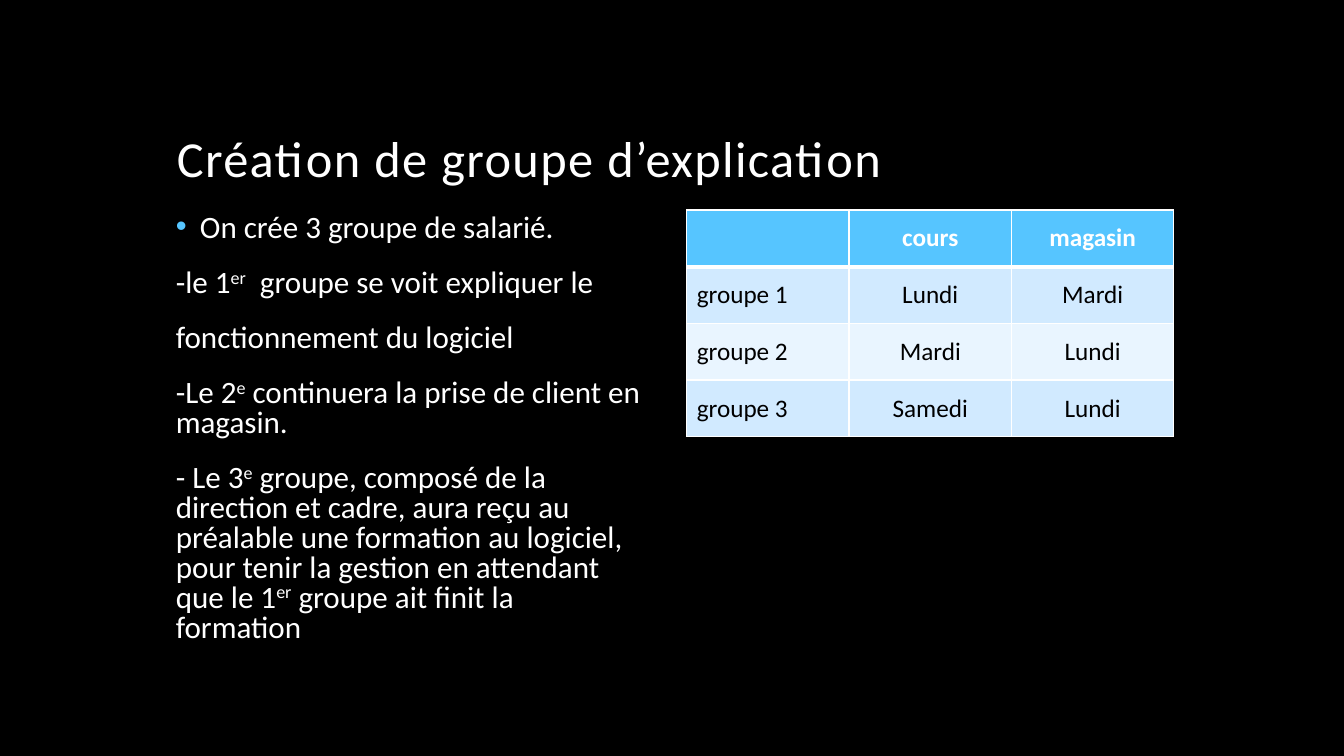
from lxml import etree
from pptx import Presentation
from pptx import util as u
from pptx.dml.color import RGBColor
from pptx.enum import text
from pptx.oxml import ns

PX = 9525
FONT = "Calibri"
HUES = {"back": "000000", "white": "FFFFFF", "black": "000000",
        "head": "56C5FF", "odd": "D1EAFF", "even": "E9F5FF"}
LINES = [
    "On crée 3 groupe de salarié.",
    "-le 1^er^  groupe se voit expliquer le",
    "fonctionnement du logiciel",
    "-Le 2^e^ continuera la prise de client en magasin.",
    "- Le 3^e^ groupe, composé de la direction et cadre, aura reçu au "
    "préalable une formation au logiciel, pour tenir la gestion en "
    "attendant que le 1^er^ groupe ait finit la formation",
]
ROWS = [
    ("", "cours", "magasin"),
    ("groupe 1", "Lundi", "Mardi"),
    ("groupe 2", "Mardi", "Lundi"),
    ("groupe 3", "Samedi", "Lundi"),
]


def rgb(hue):
    return RGBColor.from_string(HUES[hue])


def place(*box):
    return [u.Emu(n * PX) for n in box]


def style(item, form):
    for key, val in form.items():
        setattr(item, key, val)


def paint(item, hue):
    item.fill.solid()
    item.fill.fore_color.rgb = rgb(hue)


def add_run(para, words, size, hue, **form):
    run = para.add_run()
    run.text = words
    style(run.font, {"name": FONT, "size": u.Pt(size), **form})
    run.font.color.rgb = rgb(hue)
    return run._r.get_or_add_rPr()


def add_box(slide, box, anchor):
    frame = slide.shapes.add_textbox(*place(*box)).text_frame
    style(frame, {"word_wrap": True, "vertical_anchor": anchor})
    return frame


def add_title(slide, box, words):
    para = add_box(slide, box, text.MSO_ANCHOR.BOTTOM).paragraphs[0]
    para.line_spacing = 0.9
    add_run(para, words, 36, "white").set("spc", "100")


def add_dot(para, hue):
    props = para._p.get_or_add_pPr()
    indent = 23 * PX
    props.set("marL", str(indent))
    props.set("indent", str(-indent))
    color = etree.SubElement(props, ns.qn("a:buClr"))
    etree.SubElement(color, ns.qn("a:srgbClr"), val=HUES[hue])
    etree.SubElement(props, ns.qn("a:buFont"), typeface="Arial")
    etree.SubElement(props, ns.qn("a:buChar"), char="•")


def add_body(slide, box, lines):
    frame = add_box(slide, box, text.MSO_ANCHOR.TOP)
    for row, line in enumerate(lines):
        para = frame.add_paragraph() if row else frame.paragraphs[0]
        style(para, {"line_spacing": 0.8, "space_before": u.Pt(18)})
        if row == 0:
            add_dot(para, "head")
        for part, words in enumerate(line.split("^")):
            props = add_run(para, words, 22.2, "white")
            if part % 2:
                props.set("baseline", "30000")


def add_edges(cell, sides):
    props = cell._tc.get_or_add_tcPr()
    for spot, (side, width) in enumerate(sides.items()):
        edge = etree.Element(ns.qn("a:ln" + side), w=str(u.Pt(width)))
        fill = etree.SubElement(edge, ns.qn("a:solidFill"))
        etree.SubElement(fill, ns.qn("a:srgbClr"), val=HUES["white"])
        props.insert(spot, edge)


def add_grid(slide, box, rows):
    shape = slide.shapes.add_table(len(rows), len(rows[0]), *place(*box))
    for r, row in enumerate(rows):
        hue = "head" if r == 0 else "odd" if r % 2 else "even"
        for c, words in enumerate(row):
            cell = shape.table.cell(r, c)
            cell.vertical_anchor = text.MSO_ANCHOR.MIDDLE
            paint(cell, hue)
            add_edges(cell, {"L": 1, "R": 1, "T": 3 if r == 1 else 1,
                             "B": 3 if r == 0 else 1})
            para = cell.text_frame.paragraphs[0]
            para.alignment = text.PP_ALIGN.CENTER if c else text.PP_ALIGN.LEFT
            if words:
                add_run(para, words, 18, "black" if r else "white", bold=r == 0)


def main():
    deck = Presentation()
    wide, high = place(1280, 720)
    style(deck, {"slide_width": wide, "slide_height": high})
    slide = deck.slides.add_slide(deck.slide_layouts[6])
    paint(slide.background, "back")
    add_title(slide, (159, 40, 960, 144), "Création de groupe d’explication")
    add_body(slide, (158, 200, 464, 432), LINES)
    add_grid(slide, (654, 200, 464, 216), ROWS)
    deck.save("out.pptx")


if __name__ == "__main__":
    main()
